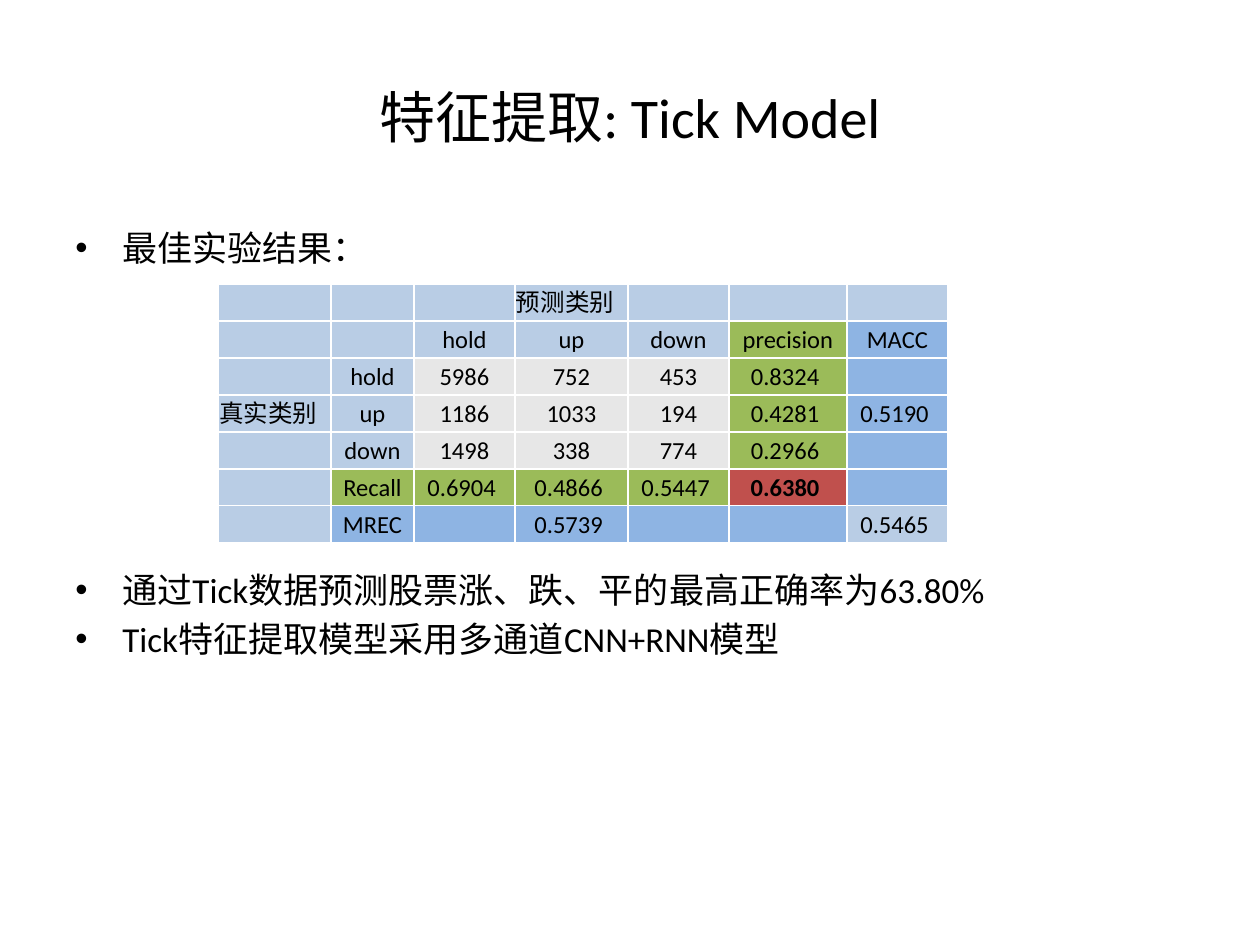
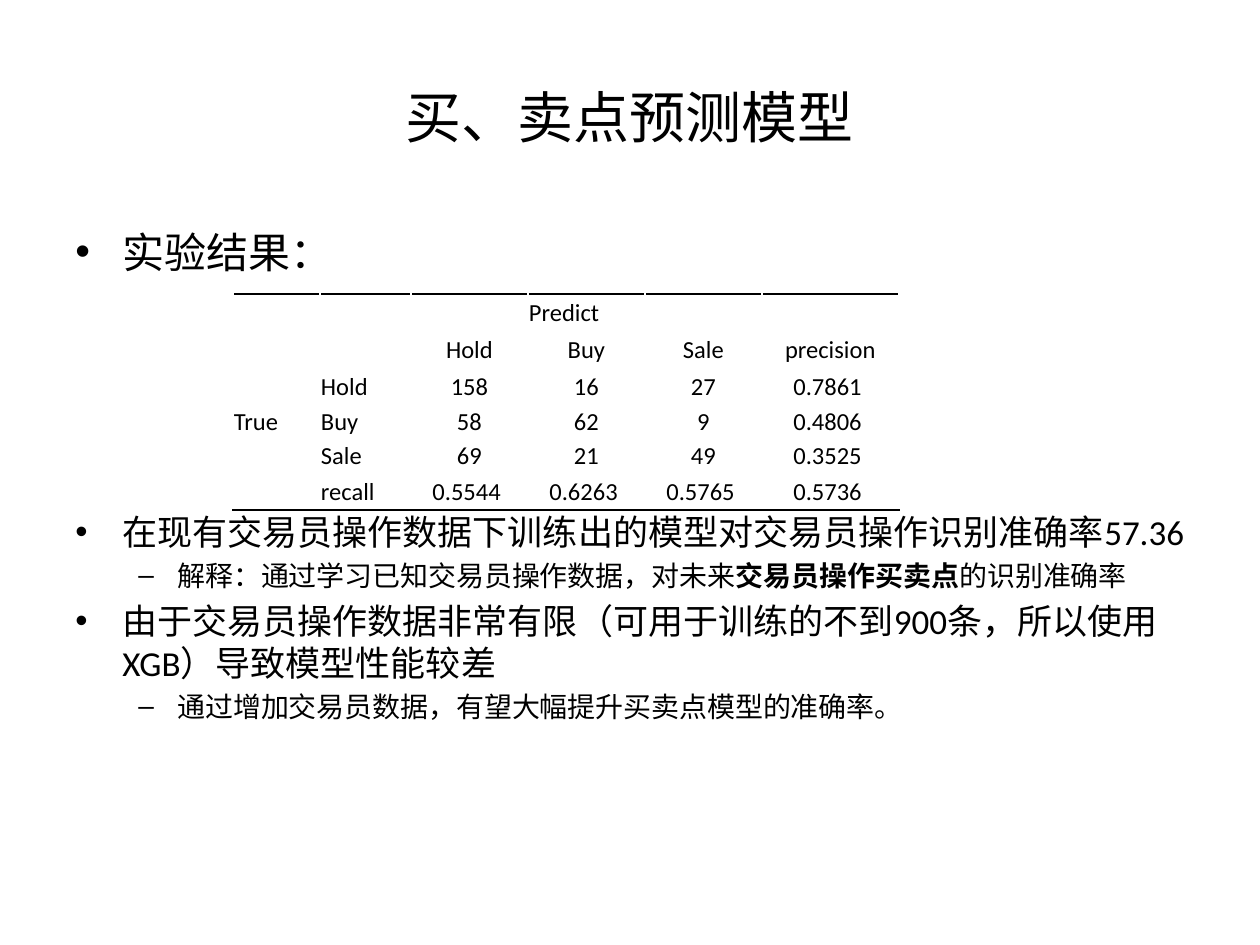
from lxml.etree import SubElement
from pptx import Presentation
from pptx.dml.color import RGBColor
from pptx.enum.lang import MSO_LANGUAGE_ID as Lang
from pptx.enum.text import MSO_ANCHOR as Anchor, PP_ALIGN as Align
from pptx.oxml.ns import qn
from pptx.util import Inches, Pt

PX_PER_INCH = 126
FONT = "Calibri"
BLACK = RGBColor(0x00, 0x00, 0x00)
WHITE = RGBColor(0xFF, 0xFF, 0xFF)
FILLS = {
    "L": RGBColor(0xB9, 0xCD, 0xE5),
    "B": RGBColor(0x8E, 0xB4, 0xE3),
    "G": RGBColor(0x9B, 0xBB, 0x59),
    "E": RGBColor(0xE7, 0xE7, 0xE7),
    "R": RGBColor(0xC0, 0x50, 0x4D),
}
TITLE_BOX = (63, 38, 1134, 157)
BODY_BOX = (63, 220, 1134, 624)
BULLETS = [("•", 47, 47), ("–", 102, 39)]
CELL_SIZE = 14

TICK_ROWS = [
    ["", "", "", "预测类别", "", "", ""],
    ["", "", "hold", "up", "down", "precision", "MACC"],
    ["", "hold", 5986, 752, 453, 0.8324, ""],
    ["真实类别", "up", 1186, 1033, 194, 0.4281, 0.5190],
    ["", "down", 1498, 338, 774, 0.2966, ""],
    ["", "Recall", 0.6904, 0.4866, 0.5447, 0.6380, ""],
    ["", "MREC", "", 0.5739, "", "", 0.5465],
]
TICK_FILLS = ["LLLLLLL", "LLLLLGB", "LLEEEGB", "LLEEEGB", "LLEEEGB",
              "LGGGGRB", "LBBBBBL"]
TRADE_ROWS = [
    ["", "", "", "Predict", "", ""],
    ["", "", "Hold", "Buy", "Sale", "precision"],
    ["", "Hold", 158, 16, 27, 0.7861],
    ["True", "Buy", 58, 62, 9, 0.4806],
    ["", "Sale", 69, 21, 49, 0.3525],
    ["", "recall", 0.5544, 0.6263, 0.5765, 0.5736],
]


def px(n):
    """Turn pixels into EMU."""
    return Inches(n / PX_PER_INCH)


def add_text(p, text, size=20, bold=False, color=BLACK, align=None):
    """Add a formatted run to a paragraph."""
    if align is not None:
        p.alignment = align
    r = p.add_run()
    r.text = text
    r.font.name, r.font.size, r.font.bold = FONT, Pt(size), bold
    r.font.color.rgb = color
    r.font.language_id = Lang.SIMPLIFIED_CHINESE
    SubElement(r.font._element, qn("a:ea"), typeface=FONT)


def add_titled_slide(prs, title):
    """Add a title-only slide with its centred title."""
    slide = prs.slides.add_slide(prs.slide_layouts[5])
    sp = slide.shapes.title
    sp.left, sp.top, sp.width, sp.height = map(px, TITLE_BOX)
    tf = sp.text_frame
    tf.vertical_anchor = Anchor.MIDDLE
    add_text(tf.paragraphs[0], title, size=32, align=Align.CENTER)
    return slide


def add_bullets(slide, box, items):
    """Add bullets given as (level, size, space before in px, segments)."""
    tf = slide.shapes.add_textbox(*map(px, box)).text_frame
    tf.word_wrap = True
    for i, (level, size, gap, segments) in enumerate(items):
        p = tf.add_paragraph() if i else tf.paragraphs[0]
        p.level = level
        p.space_before = Pt(round(gap * 72 / PX_PER_INCH, 1))
        char, margin, hang = BULLETS[level]
        pPr = p._p.get_or_add_pPr()
        pPr.set("marL", str(px(margin)))
        pPr.set("indent", str(-px(hang)))
        SubElement(pPr, qn("a:buFont"), typeface="Arial")
        SubElement(pPr, qn("a:buChar"), char=char)
        for text, bold in segments:
            add_text(p, text, size=size, bold=bold)


def set_borders(cell, sides, color):
    """Draw 1 pt borders on the given sides of a cell."""
    tcPr = cell._tc.get_or_add_tcPr()
    for side in sides:
        ln = SubElement(tcPr, qn(f"a:ln{side}"), w=str(Pt(1)))
        fill = SubElement(ln, qn("a:solidFill"))
        SubElement(fill, qn("a:srgbClr"), val=str(color))


def fill_cell(cell, value, align, bold=False):
    """Write a value into a cell, with four decimals for ratios."""
    cell.margin_left = cell.margin_right = cell.margin_top = px(1)
    cell.margin_bottom = 0
    cell.vertical_anchor = Anchor.MIDDLE
    p = cell.text_frame.paragraphs[0]
    if value == "":
        p._p.get_or_add_endParaRPr().set("sz", str(CELL_SIZE * 100))
        return
    text = f"{value:.4f} " if isinstance(value, float) else str(value)
    add_text(p, text, size=CELL_SIZE, bold=bold, align=align)


def add_grid(slide, left, top, widths, heights, rows, left_cols):
    """Add a plain table and yield its cells with their row and column."""
    frame = slide.shapes.add_table(len(rows), len(widths), px(left), px(top),
                                   px(sum(widths)), px(sum(heights)))
    table = frame.table
    table.first_row = table.horz_banding = False
    for col, width in zip(table.columns, widths):
        col.width = px(width)
    for row, height in zip(table.rows, heights):
        row.height = px(height)
    for i, values in enumerate(rows):
        for j, value in enumerate(values):
            at_left = i == 0 or j < left_cols
            yield (i, j, table.cell(i, j), value,
                   Align.LEFT if at_left else Align.CENTER)


def add_tick_table(slide, left, top):
    """Add the coloured confusion matrix of the tick model."""
    widths = [113, 83, 101, 113, 101, 118, 101]
    for i, j, cell, value, align in add_grid(
            slide, left, top, widths, [37] * 7, TICK_ROWS, 1):
        key = TICK_FILLS[i][j]
        set_borders(cell, "LRTB", WHITE)
        cell.fill.solid()
        cell.fill.fore_color.rgb = FILLS[key]
        fill_cell(cell, value, align, bold=key == "R")


def add_trade_table(slide, left, top):
    """Add the trade matrix ruled at its top and bottom."""
    widths = [87, 91, 117, 117, 117, 137]
    heights = [37, 37, 37, 34, 34, 37]
    rules = {0: "T", len(TRADE_ROWS) - 1: "B"}
    for i, j, cell, value, align in add_grid(
            slide, left, top, widths, heights, TRADE_ROWS, 2):
        set_borders(cell, rules.get(i, ""), BLACK)
        cell.fill.background()
        fill_cell(cell, value, align)


def build_tick_slide(prs):
    """Build the slide on tick feature extraction."""
    slide = add_titled_slide(prs, "特征提取: Tick Model")
    add_bullets(slide, BODY_BOX, [
        (0, 20, 7, [("最佳实验结果：", False)]),
        (0, 20, 300, [("通过Tick数据预测股票涨、跌、平的最高正确率为63.80%", False)]),
        (0, 20, 7, [("Tick特征提取模型采用多通道CNN+RNN模型", False)]),
    ])
    add_tick_table(slide, 218, 284)


def build_trade_slide(prs):
    """Build the slide on the trade point model."""
    slide = add_titled_slide(prs, "买、卖点预测模型")
    add_bullets(slide, BODY_BOX, [
        (0, 24, 8, [("实验结果：", False)]),
        (0, 20, 234, [("在现有交易员操作数据下训练出的模型对交易员操作识别准确率57.36", False)]),
        (1, 16, 6, [("解释：通过学习已知交易员操作数据，对未来", False),
                    ("交易员操作买卖点", True),
                    ("的识别准确率", False)]),
        (0, 20, 7, [("由于交易员操作数据非常有限（可用于训练的不到900条，"
                     "所以使用XGB）导致模型性能较差", False)]),
        (1, 16, 6, [("通过增加交易员数据，有望大幅提升买卖点模型的准确率。", False)]),
    ])
    add_trade_table(slide, 233, 294)


def main():
    """Build and save the presentation."""
    prs = Presentation()
    prs.slide_width, prs.slide_height = px(1260), px(945)
    build_tick_slide(prs)
    build_trade_slide(prs)
    prs.save("out.pptx")


if __name__ == "__main__":
    main()
